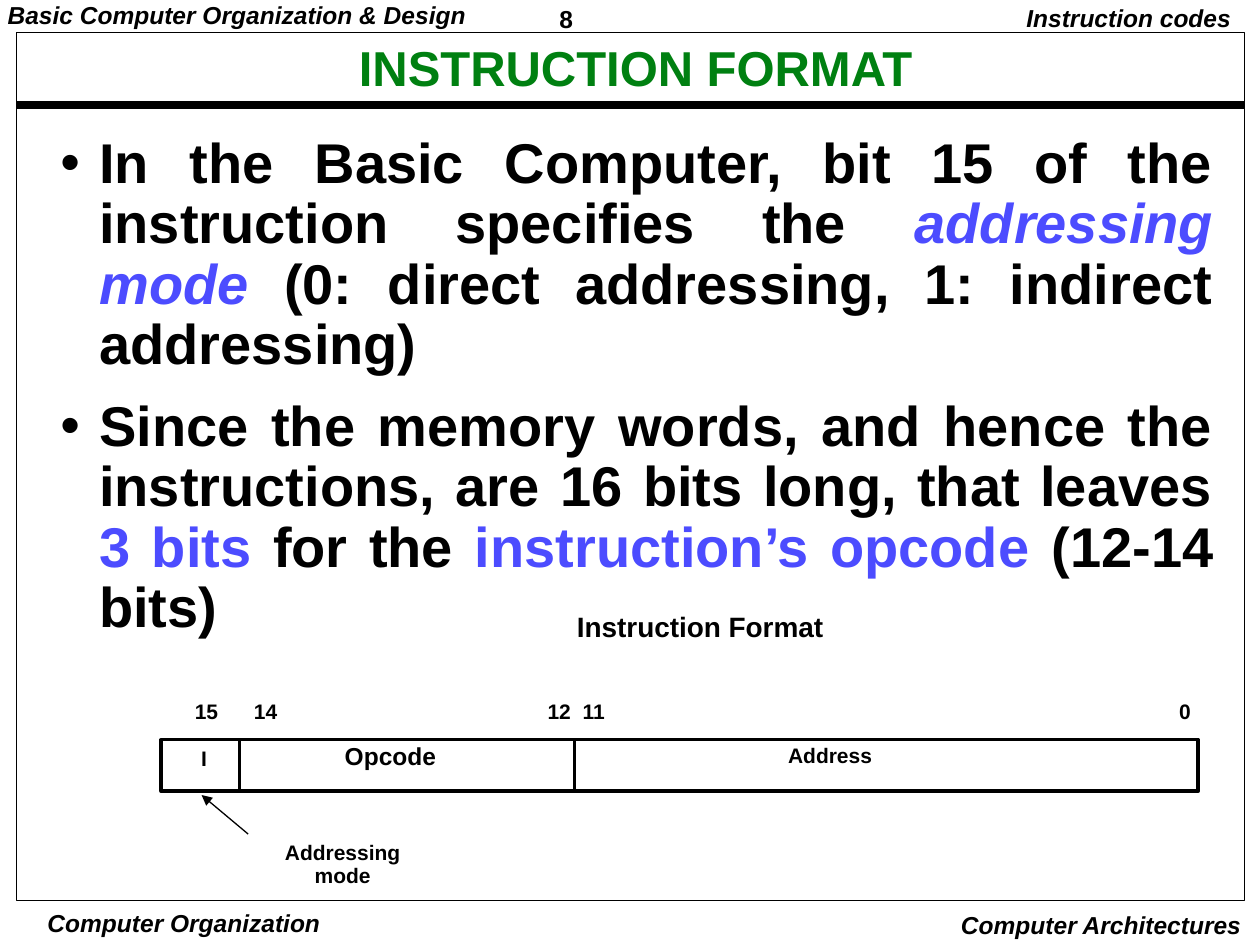
"""Build the instruction format slide."""
from lxml.etree import SubElement as Sub
from pptx import Presentation
from pptx.dml.color import RGBColor as Rgb
from pptx.enum.shapes import MSO_CONNECTOR as Link, MSO_SHAPE as Kind
from pptx.enum.text import MSO_ANCHOR as Anchor, MSO_AUTO_SIZE as Fit, PP_ALIGN as Align
from pptx.oxml.ns import qn
from pptx.util import Inches, Pt

HUES = {"ink": "000000", "head": "008011", "key": "4C4CFF"}
SIDES = {"l": Align.LEFT, "c": Align.CENTER, "r": Align.RIGHT, "j": Align.JUSTIFY}
SLIM, WIDE = (0.07, 0.03), (0.1, 0.05)

TITLE = "INSTRUCTION FORMAT"
BODY = [
    [("In the Basic Computer, bit 15 of the instruction specifies the ", {}),
     ("addressing mode", {"hue": "key", "italic": True}),
     (" (0: direct addressing, 1: indirect addressing)", {})],
    [("Since the memory words, and hence the instructions, are 16 bits long, that leaves ", {}),
     ("3 bits ", {"hue": "key"}),
     ("for the ", {}),
     ("instruction’s opcode ", {"hue": "key"}),
     ("(12-14 bits)", {})],
]
EDGES = [
    ("8", (4.37, 0, 1.08, 0.29), "l", SLIM, 1.01, False),
    ("Basic Computer Organization & Design", (-0.01, 0, 3.95, 0.27), "l", SLIM, 0.9, True),
    ("Computer Organization", (0.25, 7.2, 2.42, 0.26), "c", (0.03, 0.01), 1, True),
    ("Computer Architectures", (7.3, 7.17, 2.65, 0.33), "r", WIDE, 1, True),
    ("Instruction codes", (7.9, 0, 1.97, 0.31), "r", WIDE, 0.9, True),
]
LABELS = [
    ("Instruction Format", (4.48, 4.82, 2.3, 0.34), "l", 16),
    ("Opcode", (1.77, 5.86, 1.79, 0.31), "r", 14),
    ("Address", (5.2, 5.87, 1.82, 0.28), "r", 12),
    ("I", (1.22, 5.89, 0.52, 0.28), "r", 12),
    ("Addressing\nmode", (2.06, 6.64, 1.32, 0.46), "c", 12),
]
BITS = [("15", 1.83), ("14", 2.3), ("12", 4.63), ("11", 4.9), ("0", 9.55)]
FRAMES = [((0.13, 0.26, 9.75, 6.89), 0.5), ((1.28, 5.87, 8.23, 0.41), 2)]
RULES = [
    ((0.13, 0.83, 9.87, 0.83), 4.5, False),
    ((1.9, 5.87, 1.9, 6.28), 2, False),
    ((4.56, 5.87, 4.56, 6.28), 2, False),
    ((1.97, 6.62, 1.6, 6.31), 0.75, True),
]


def color(name):
    return Rgb.from_string(HUES[name])


def write(box, paras, size, side, pad=WIDE, lead=0.9, gap=0):
    frame = box.text_frame
    form = {"word_wrap": True, "auto_size": Fit.NONE, "vertical_anchor": Anchor.TOP,
            "margin_left": Inches(pad[0]), "margin_right": Inches(pad[0]),
            "margin_top": Inches(pad[1]), "margin_bottom": Inches(pad[1])}
    for key, val in form.items():
        setattr(frame, key, val)
    for num, runs in enumerate(paras):
        para = frame.add_paragraph() if num else frame.paragraphs[0]
        form = {"alignment": SIDES[side], "line_spacing": lead, "space_before": Pt(gap)}
        for key, val in form.items():
            setattr(para, key, val)
        for text, more in runs:
            run = para.add_run()
            run.text = text
            look = {"name": "Arial", "size": Pt(size), "bold": True, "italic": False,
                    "hue": "ink"} | more
            run.font.color.rgb = color(look.pop("hue"))
            for key, val in look.items():
                setattr(run.font, key, val)
    return frame


def place(shape, spot):
    for key, val in zip(("left", "top", "width", "height"), spot):
        setattr(shape, key, Inches(val))


def label(slide, text, spot, size, side, pad=WIDE, lead=0.9, slant=False):
    box = slide.shapes.add_textbox(*map(Inches, spot))
    paras = [[(row, {"italic": slant})] for row in text.split("\n")]
    write(box, paras, size, side, pad, lead)


def bullet(para):
    props = para._p.get_or_add_pPr()
    props.set("marL", str(Inches(0.31)))
    props.set("indent", str(-Inches(0.31)))
    Sub(Sub(props, qn("a:buClr")), qn("a:srgbClr"), val=HUES["ink"])
    Sub(props, qn("a:buFont"), typeface="Arial")
    Sub(props, qn("a:buChar"), char="•")


def border(slide, spot, weight):
    rect = slide.shapes.add_shape(Kind.RECTANGLE, *map(Inches, spot))
    rect.shadow.inherit = False
    rect.fill.background()
    rect.line.color.rgb = color("ink")
    rect.line.width = Pt(weight)


def rule(slide, ends, weight, arrow):
    wire = slide.shapes.add_connector(Link.STRAIGHT, *map(Inches, ends))
    wire.line.color.rgb = color("ink")
    wire.line.width = Pt(weight)
    if arrow:
        Sub(wire.line._get_or_add_ln(), qn("a:tailEnd"), type="triangle")
    Sub(wire._element.spPr, qn("a:effectLst"))


def main():
    deck = Presentation()
    deck.slide_width, deck.slide_height = Inches(10), Inches(7.5)
    slide = deck.slides.add_slide(deck.slide_layouts[5])
    title = slide.shapes.title
    place(title, (2.76, 0.33, 4.57, 0.46))
    write(title, [[(TITLE, {"hue": "head"})]], 28, "c", SLIM, 0.87)
    for spot, weight in FRAMES:
        border(slide, spot, weight)
    for ends, weight, arrow in RULES:
        rule(slide, ends, weight, arrow)
    for text, spot, side, pad, lead, slant in EDGES:
        label(slide, text, spot, 14, side, pad, lead, slant)
    body = slide.shapes.add_textbox(*map(Inches, (0.38, 1.02, 9.35, 4.49)))
    for para in write(body, BODY, 32, "j", gap=12).paragraphs:
        bullet(para)
    for text, spot, side, size in LABELS:
        label(slide, text, spot, size, side)
    for text, right in BITS:
        label(slide, text, (right - 0.5, 5.52, 0.5, 0.28), 12, "r")
    deck.save("out.pptx")


if __name__ == "__main__":
    main()
